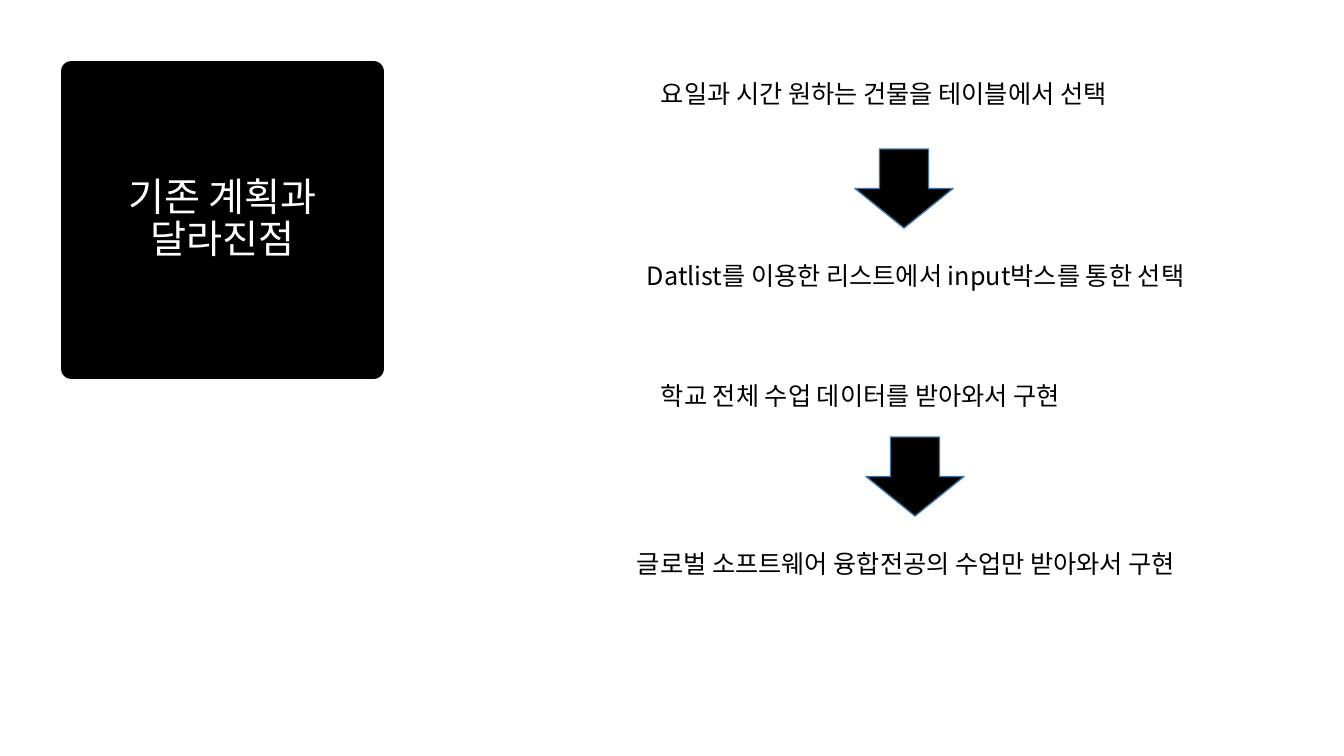
import pptx
import pptx.dml.color
import pptx.enum.shapes
import pptx.enum.text
import pptx.oxml.ns
import pptx.util
import lxml.etree

PX = 914400 / 100.8
FONT = "Noto Sans CJK KR"
COLORS = {"ink": "000000", "paper": "FFFFFF", "edge": "43739E"}
MIDDLE = pptx.enum.text.MSO_ANCHOR.MIDDLE
TOP = pptx.enum.text.MSO_ANCHOR.TOP


def px(length):
    return pptx.util.Emu(round(length * PX))


def color(name):
    return pptx.dml.color.RGBColor.from_string(COLORS[name])


def add_child(parent, tag, **attributes):
    return lxml.etree.SubElement(parent, pptx.oxml.ns.qn(tag), **attributes)


def paint(shape, edge, width):
    shape.fill.solid()
    shape.fill.fore_color.rgb = color("ink")
    shape.line.color.rgb = color(edge)
    shape.line.width = pptx.util.Pt(width)


def write(shape, text, size, ink, anchor):
    frame = shape.text_frame
    frame.text = text
    frame.word_wrap = True
    frame.auto_size = pptx.enum.text.MSO_AUTO_SIZE.NONE
    frame.vertical_anchor = anchor
    para = frame.paragraphs[0]
    for span in para.runs:
        span.font.size = pptx.util.Pt(size)
        span.font.color.rgb = color(ink)
        span.font.name = FONT
        add_child(span.font._element, "a:ea", typeface=FONT)
    return para


def add_title(page, text, left, top, width, height):
    title = page.shapes.title
    title.left, title.top = px(left), px(top)
    title.width, title.height = px(width), px(height)
    paint(title, "ink", 13.75)
    add_child(title.line._get_or_add_ln(), "a:round")
    para = write(title, text, 28, "paper", MIDDLE)
    para.alignment = pptx.enum.text.PP_ALIGN.CENTER
    para.line_spacing = 0.9


def add_label(page, text, left, top, width, height, anchor=TOP):
    box = page.shapes.add_textbox(px(left), px(top), px(width), px(height))
    return write(box, text, 18, "ink", anchor)


def add_plan(page, text, top):
    para = add_label(page, text, 626, top, 628, 79, MIDDLE)
    para.line_spacing = 0.9
    para._p.get_or_add_pPr().set("marL", str(px(25)))


def add_arrow(page, left, top):
    kind = pptx.enum.shapes.MSO_SHAPE.DOWN_ARROW
    arrow = page.shapes.add_shape(kind, px(left), px(top), px(98), px(79))
    arrow.shadow.inherit = False
    paint(arrow, "edge", 1)


def main():
    """Build the slide on how the plan changed and save it."""
    deck = pptx.Presentation()
    deck.slide_width, deck.slide_height = px(1344), px(756)
    page = deck.slides.add_slide(deck.slide_layouts.get_by_name("Title Only"))
    add_title(page, "기존 계획과 달라진점", 71, 71, 303, 298)
    add_plan(page, "요일과 시간 원하는 건물을 테이블에서 선택", 56)
    add_arrow(page, 855, 149)
    add_label(page, "Datlist를 이용한 리스트에서 input박스를 통한 선택", 637, 255, 608, 40)
    add_plan(page, "학교 전체 수업 데이터를 받아와서 구현", 358)
    add_arrow(page, 866, 437)
    add_label(page, "글로벌 소프트웨어 융합전공의 수업만 받아와서 구현", 627, 543, 628, 40)
    deck.save("out.pptx")


if __name__ == "__main__":
    main()
